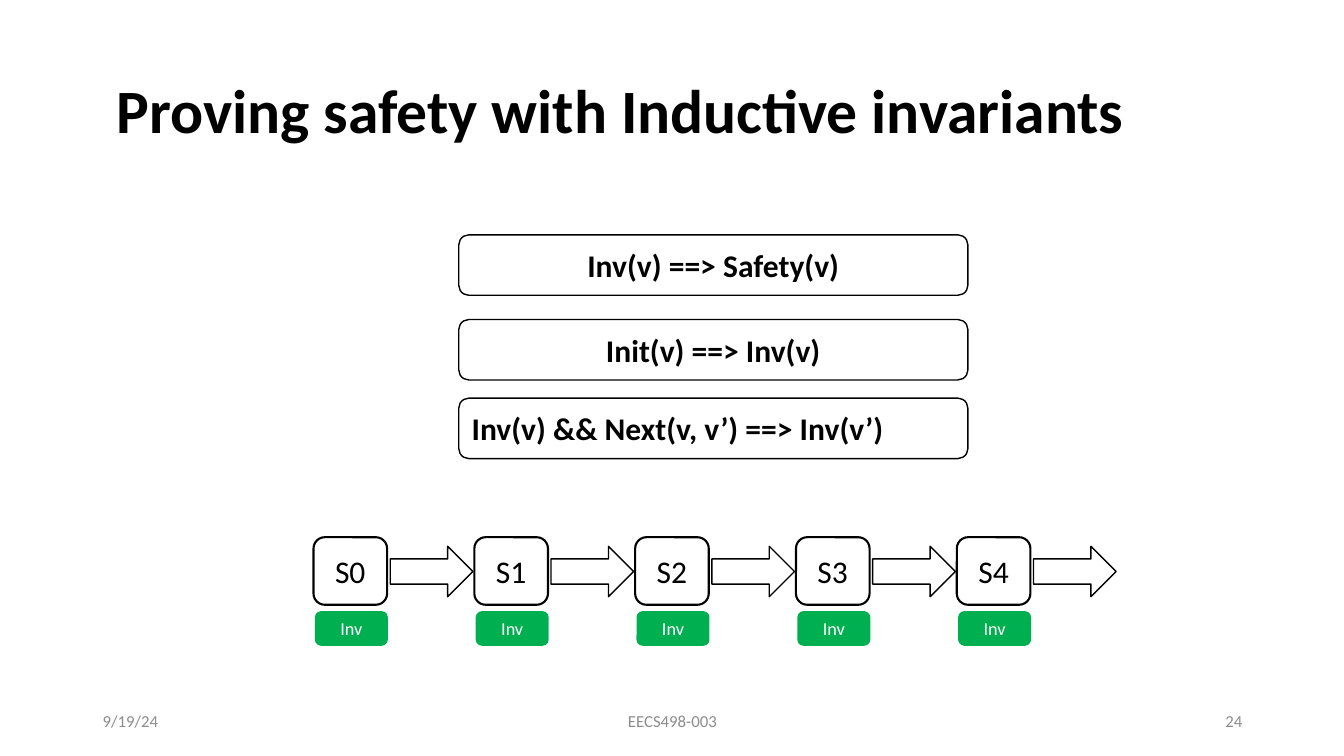
from pptx import Presentation
from pptx.dml.color import RGBColor
from pptx.enum.shapes import MSO_SHAPE
from pptx.enum.text import MSO_ANCHOR, PP_ALIGN
from pptx.util import Inches, Pt

ROUNDED, ARROW = MSO_SHAPE.ROUNDED_RECTANGLE, MSO_SHAPE.RIGHT_ARROW
LEFT, CENTER, RIGHT = PP_ALIGN.LEFT, PP_ALIGN.CENTER, PP_ALIGN.RIGHT
MIDDLE = MSO_ANCHOR.MIDDLE

WIDTH, HEIGHT = 13.33, 7.5
BLACK, WHITE, GREEN, GRAY = "000000", "FFFFFF", "00B050", "8C8C8C"

# Text formats
TITLE = {"size": Pt(44), "bold": True}
FORMULA = {"size": Pt(22.5), "bold": True}
STATE = {"size": Pt(22.5)}
INVARIANT = {"size": Pt(13)}
FOOTER = {"size": Pt(12)}

# Grid of the state chain
CHAIN_LEFT, STATE_STEP = 3.11, 1.595


def color(hex_value):
    return RGBColor.from_string(hex_value)


def write(holder, text, font_format, ink, align, side_inset=0.1):
    frame = holder.text_frame
    frame.word_wrap = True
    frame.vertical_anchor = MIDDLE
    frame.margin_left = frame.margin_right = Inches(side_inset)
    paragraph = frame.paragraphs[0]
    paragraph.alignment = align
    run = paragraph.add_run()
    run.text = text
    for attribute, value in {"name": "Calibri", **font_format}.items():
        setattr(run.font, attribute, value)
    run.font.color.rgb = color(ink)
    return paragraph


def add_label(slide, box, text, font_format, ink, align):
    label = slide.shapes.add_textbox(*map(Inches, box))
    return write(label, text, font_format, ink, align)


def add_block(slide, preset, box, fill=WHITE, outline=BLACK, weight=1):
    block = slide.shapes.add_shape(preset, *map(Inches, box))
    block.shadow.inherit = False
    block.fill.solid()
    block.fill.fore_color.rgb = color(fill)
    block.line.color.rgb = color(outline)
    block.line.width = Pt(weight)
    return block


def add_formula(slide, top, text, align):
    formula = add_block(slide, ROUNDED, (4.55, top, 5.05, 0.6))
    write(formula, text, FORMULA, BLACK, align)


def add_state(slide, index):
    left = CHAIN_LEFT + index * STATE_STEP
    invariant = add_block(slide, ROUNDED, (left + 0.02, 6.07, 0.71, 0.33), GREEN, GREEN)
    write(invariant, "Inv", INVARIANT, WHITE, CENTER)
    state = add_block(slide, ROUNDED, (left, 5.33, 0.73, 0.67), weight=1.5)
    write(state, f"S{index}", STATE, BLACK, CENTER, side_inset=0)
    add_block(slide, ARROW, (left + 0.76, 5.42, 0.82, 0.5))


def main():
    deck = Presentation()
    deck.slide_width, deck.slide_height = Inches(WIDTH), Inches(HEIGHT)
    slide = deck.slides.add_slide(deck.slide_layouts[6])

    # Title
    title = add_label(slide, (0.92, 0.4, 11.5, 1.45),
                      " Proving safety with Inductive invariants", TITLE, BLACK, LEFT)
    title.line_spacing = 0.9

    # Proof obligations
    for top, text, align in (
        (2.33, "Inv(v) ==> Safety(v)", CENTER),
        (3.17, "Init(v) ==> Inv(v)", CENTER),
        (3.95, "Inv(v) && Next(v, v’) ==> Inv(v’)", LEFT),
    ):
        add_formula(slide, top, text, align)

    # Chain of states, each satisfying the invariant
    for index in range(5):
        add_state(slide, index)

    # Footer
    for left, width, text, align in (
        (0.92, 3, "9/19/24", LEFT),
        (4.42, 4.5, "EECS498-003", CENTER),
        (9.42, 3, "24", RIGHT),
    ):
        add_label(slide, (left, 6.95, width, 0.4), text, FOOTER, GRAY, align)

    deck.save("out.pptx")


if __name__ == "__main__":
    main()
